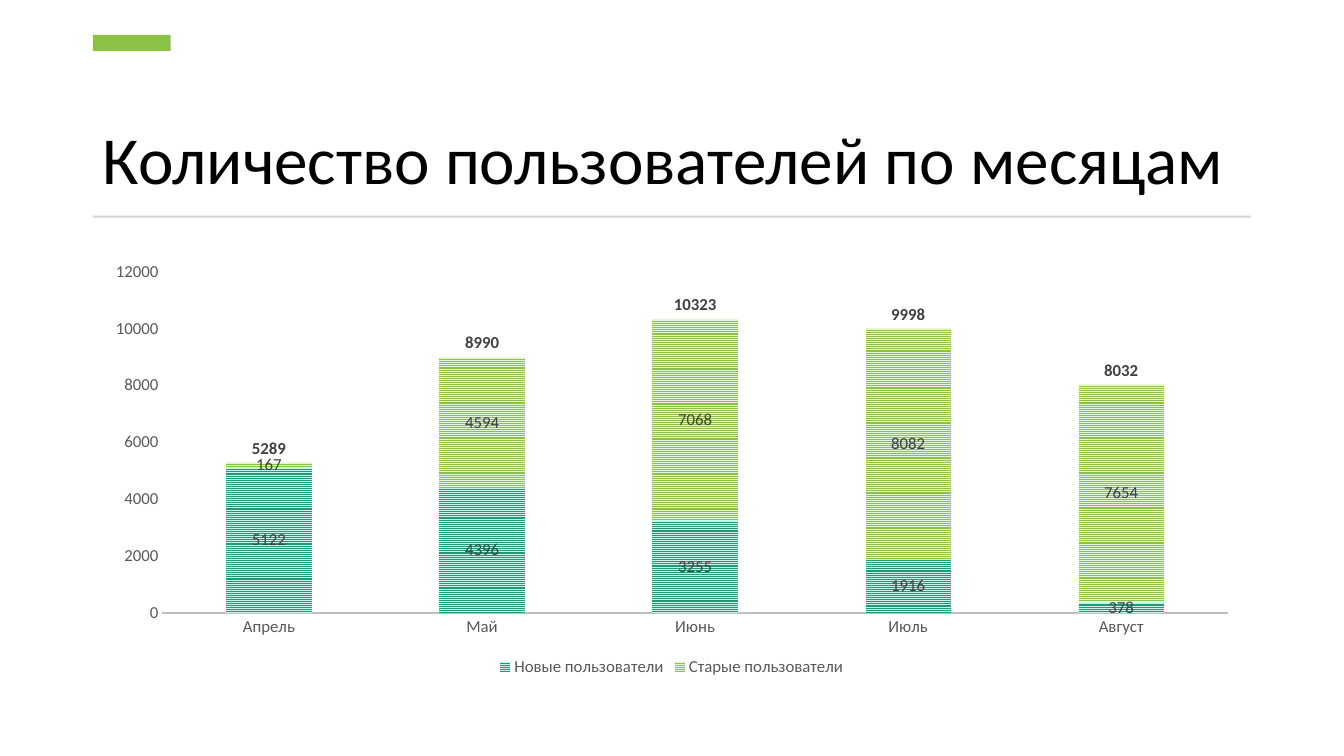
"""Build a slide with a stacked column chart of monthly users and their totals."""
from lxml import etree
from pptx import Presentation
from pptx.chart.data import CategoryChartData
from pptx.dml.color import RGBColor
from pptx.enum.chart import (XL_CHART_TYPE, XL_LABEL_POSITION, XL_LEGEND_POSITION,
                             XL_MARKER_STYLE, XL_TICK_MARK)
from pptx.enum.dml import MSO_PATTERN
from pptx.enum.shapes import MSO_SHAPE
from pptx.enum.text import MSO_ANCHOR, MSO_AUTO_SIZE, PP_ALIGN
from pptx.oxml.ns import qn
from pptx.util import Pt

STACKED = XL_CHART_TYPE.COLUMN_STACKED
CENTER, ABOVE = XL_LABEL_POSITION.CENTER, XL_LABEL_POSITION.ABOVE
BOTTOM = XL_LEGEND_POSITION.BOTTOM
NO_TICK, NO_MARKER = XL_TICK_MARK.NONE, XL_MARKER_STYLE.NONE
STRIPES = MSO_PATTERN.NARROW_HORIZONTAL
RECTANGLE = MSO_SHAPE.RECTANGLE
ANCHOR_BOTTOM, NO_AUTOFIT = MSO_ANCHOR.BOTTOM, MSO_AUTO_SIZE.NONE
ALIGN_LEFT = PP_ALIGN.LEFT
LEFT, WIDTH = 66.24, 827.28
MONTHS = ["Апрель", "Май", "Июнь", "Июль", "Август"]
NEW_USERS = [5122, 4396, 3255, 1916, 378]
OLD_USERS = [167, 4594, 7068, 8082, 7654]
TOTALS = [new + old for new, old in zip(NEW_USERS, OLD_USERS)]


def color(value):
    return RGBColor.from_string(value)


def style_font(font, size, value, bold=False):
    font.name, font.size, font.bold = "Calibri", Pt(size), bold
    font.color.rgb = color(value)


deck = Presentation()
deck.slide_width, deck.slide_height = Pt(960), Pt(540)
page = deck.slides.add_slide(deck.slide_layouts[5])

title = page.shapes.title
title.left, title.top, title.width, title.height = Pt(LEFT), Pt(54), Pt(WIDTH), Pt(91.44)
frame = title.text_frame
frame.text = "Количество пользователей по месяцам"
frame.word_wrap = True
frame.auto_size = NO_AUTOFIT
frame.vertical_anchor = ANCHOR_BOTTOM
para = frame.paragraphs[0]
para.alignment = ALIGN_LEFT
para.line_spacing = 0.9
style_font(para.font, 48, "000000")

for left, top, width, height, rotation, fill in [
    (88.5, 2.9, 11.5, 55.4, 90, "8BC145"),
    (LEFT, 154.1, WIDTH, 1.44, 0, "D5D5D5"),
]:
    bar = page.shapes.add_shape(RECTANGLE, Pt(left), Pt(top), Pt(width), Pt(height))
    bar.rotation = rotation
    bar.shadow.inherit = False
    bar.fill.solid()
    bar.fill.fore_color.rgb = color(fill)
    bar.line.fill.background()

data = CategoryChartData()
data.categories = MONTHS
data.add_series("Новые пользователи", NEW_USERS)
data.add_series("Старые пользователи", OLD_USERS)
data.add_series("Series 3", TOTALS)
chart = page.shapes.add_chart(STACKED, Pt(LEFT), Pt(180.72), Pt(WIDTH), Pt(305.28), data).chart
chart.has_title = False
style_font(chart.font, 10, "000000")

columns = chart.plots[0]
columns.gap_width, columns.overlap = 150, 100
columns.vary_by_categories = False
for series, (front, back) in zip(columns.series, [("1D9A78", "C8F5E8"), ("8BC145", "E8F3DA")]):
    fill = series.format.fill
    fill.patterned()
    fill.pattern = STRIPES
    fill.fore_color.rgb, fill.back_color.rgb = color(front), color(back)

bar_chart = chart.element.find(".//" + qn("c:barChart"))
total_series = bar_chart.findall(qn("c:ser"))[2]
for flag in total_series.findall(qn("c:invertIfNegative")):
    total_series.remove(flag)
line_chart = etree.SubElement(bar_chart.getparent(), qn("c:lineChart"))
bar_chart.addnext(line_chart)
etree.SubElement(line_chart, qn("c:grouping"), val="standard")
etree.SubElement(line_chart, qn("c:varyColors"), val="0")
line_chart.append(total_series)
etree.SubElement(line_chart, qn("c:marker"), val="1")
for axis_id in bar_chart.findall(qn("c:axId")):
    etree.SubElement(line_chart, qn("c:axId"), val=axis_id.get("val"))

totals = chart.plots[1].series[0]
totals.smooth = False
totals.marker.style = NO_MARKER
totals.format.line.fill.background()

for series in [*columns.series, totals]:
    is_total = series is totals
    labels = series.data_labels
    labels.show_value = True
    labels.number_format, labels.number_format_is_linked = "0", False
    labels.position = ABOVE if is_total else CENTER
    style_font(labels.font, 12, "404040", is_total)

months, values = chart.category_axis, chart.value_axis
for axis in (months, values):
    axis.has_major_gridlines = False
    axis.major_tick_mark = axis.minor_tick_mark = NO_TICK
    style_font(axis.tick_labels.font, 12, "595959")
months.format.line.color.rgb = color("BFBFBF")
months.format.line.width = Pt(1.5)
values.format.line.fill.background()
values.minimum_scale, values.maximum_scale, values.major_unit = 0, 12000, 2000

chart.has_legend = True
legend = chart.legend
legend.position = BOTTOM
legend.include_in_layout = False
style_font(legend.font, 12, "595959")
legend_element = chart.element.find(".//" + qn("c:legend"))
hidden_entry = etree.SubElement(legend_element, qn("c:legendEntry"))
etree.SubElement(hidden_entry, qn("c:idx"), val="2")
etree.SubElement(hidden_entry, qn("c:delete"), val="1")
first_after = legend_element.find(qn("c:legendPos"))
if first_after is None:
    legend_element.insert(0, hidden_entry)
else:
    first_after.addnext(hidden_entry)

deck.save("out.pptx")
